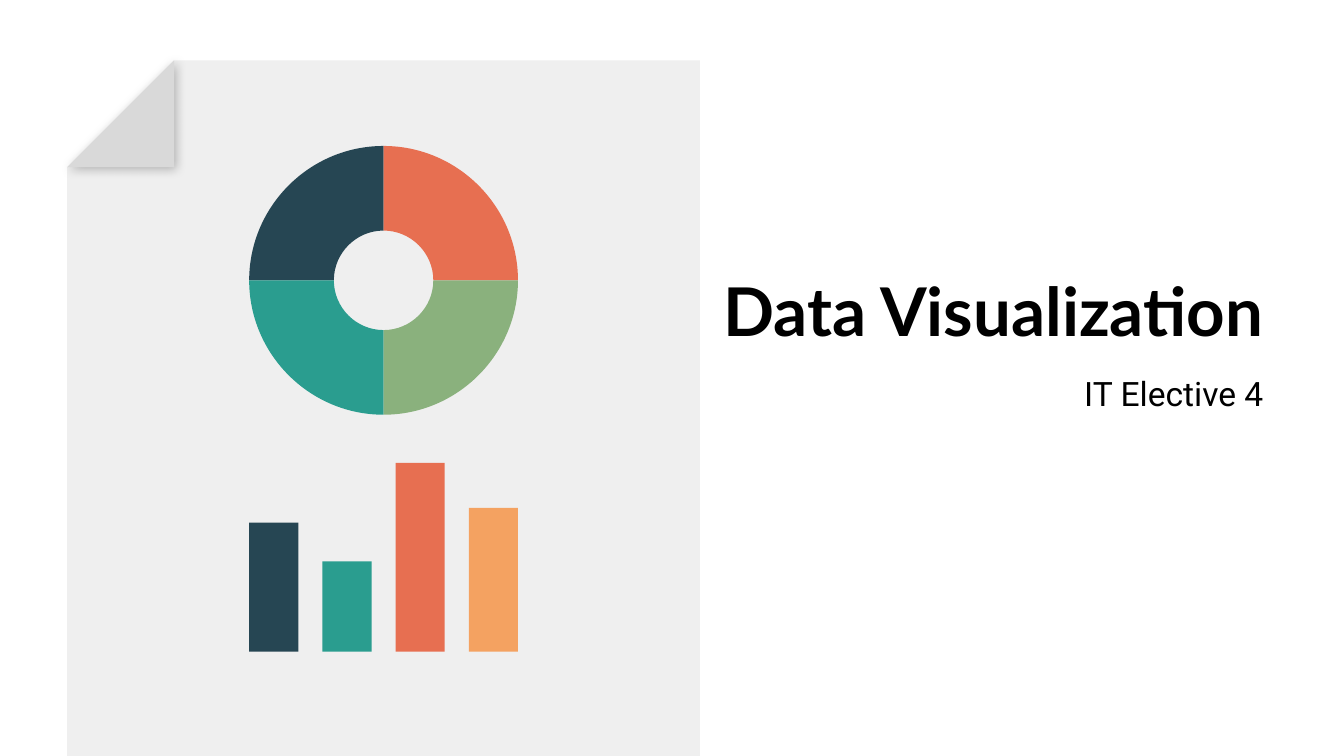
from lxml import etree
from pptx import Presentation
from pptx.dml.color import RGBColor
from pptx.enum.shapes import MSO_SHAPE
from pptx.enum.text import MSO_ANCHOR, PP_ALIGN
from pptx.oxml.ns import qn
from pptx.util import Cm, Pt

RECTANGLE = MSO_SHAPE.RECTANGLE
TOP, MIDDLE = MSO_ANCHOR.TOP, MSO_ANCHOR.MIDDLE
RIGHT = PP_ALIGN.RIGHT

BLACK = RGBColor(0x00, 0x00, 0x00)
PAPER = RGBColor(0xEF, 0xEF, 0xEF)
FOLD = RGBColor(0xD9, 0xD9, 0xD9)
NAVY = RGBColor(0x26, 0x46, 0x53)
TEAL = RGBColor(0x2A, 0x9D, 0x8F)
GREEN = RGBColor(0x8A, 0xB1, 0x7D)
CORAL = RGBColor(0xE7, 0x6F, 0x51)
ORANGE = RGBColor(0xF4, 0xA2, 0x61)

CIRCLE_HANDLE = 0.55


def set_attributes(target, values):
    for name, value in values.items():
        setattr(target, name, value)


class SlideBuilder:
    MARGINS = {f"margin_{side}": Cm(0.25) for side in ("left", "top", "right", "bottom")}
    SHADOW = {"blurRad": Pt(5.6), "dist": Pt(1.5), "dir": 44 * 60000, "rotWithShape": 0}
    SHADOW_OPACITY = 25

    def __init__(self, slide):
        self.slide = slide

    def paint(self, shape, color):
        shape.fill.solid()
        shape.fill.fore_color.rgb = color
        shape.line.fill.background()
        shape.shadow.inherit = False
        return shape

    def polygon(self, points, color):
        start, *others = [(Cm(x), Cm(y)) for x, y in points]
        builder = self.slide.shapes.build_freeform(*start)
        builder.add_line_segments(others, close=True)
        return self.paint(builder.convert_to_shape(), color)

    def bend(self, shape, segment, start, end, center):
        handles = [
            [p + CIRCLE_HANDLE * (q - c) for p, q, c in zip(near, far, center)]
            for near, far in ((start, end), (end, start))
        ]
        curve = etree.Element(qn("a:cubicBezTo"))
        for x, y in (*handles, end):
            local = {"x": str(Cm(x) - shape.left), "y": str(Cm(y) - shape.top)}
            etree.SubElement(curve, qn("a:pt"), local)
        segment.getparent().replace(segment, curve)

    def ring_quarter(self, center, outer, inner, direction, color):
        x, y = center
        across, down = direction
        corners = [
            (x + outer * across, y),
            (x, y + outer * down),
            (x, y + inner * down),
            (x + inner * across, y),
        ]
        shape = self.polygon(corners, color)
        outside, _, inside = list(shape._element.iter(qn("a:lnTo")))
        self.bend(shape, outside, corners[0], corners[1], center)
        self.bend(shape, inside, corners[2], corners[3], center)

    def bar(self, left, bottom, width, height, color):
        shape = self.slide.shapes.add_shape(
            RECTANGLE, Cm(left), Cm(bottom - height), Cm(width), Cm(height)
        )
        self.paint(shape, color)

    def cast_shadow(self, shape):
        effects = shape._element.spPr.find(qn("a:effectLst"))
        attributes = {name: str(value) for name, value in self.SHADOW.items()}
        shadow = etree.SubElement(effects, qn("a:outerShdw"), attributes)
        color = etree.SubElement(shadow, qn("a:srgbClr"), val=str(BLACK))
        etree.SubElement(color, qn("a:alpha"), val=str(self.SHADOW_OPACITY * 1000))

    def text(self, words, box, anchor, font_format, paragraph_format):
        frame = self.slide.shapes.add_textbox(*map(Cm, box)).text_frame
        set_attributes(frame, {"word_wrap": True, "vertical_anchor": anchor, **self.MARGINS})
        paragraph = frame.paragraphs[0]
        set_attributes(paragraph, {"alignment": RIGHT, **paragraph_format})
        run = paragraph.add_run()
        run.text = words
        set_attributes(run.font, font_format)
        run.font.color.rgb = BLACK


def main():
    presentation = Presentation()
    presentation.slide_width = Cm(25.4)
    presentation.slide_height = Cm(14.29)
    builder = SlideBuilder(presentation.slides.add_slide(presentation.slide_layouts[6]))

    left, top, right, bottom, fold = 1.27, 1.14, 13.23, 16.15, 2.02
    fold_start, fold_end = (left, top + fold), (left + fold, top)
    builder.polygon(
        [fold_start, (left, bottom), (right, bottom), (right, top), fold_end], PAPER
    )

    builder.text(
        "IT Elective 4", (16.66, 6.68, 7.47, 2.92), TOP,
        {"name": "Roboto", "size": Pt(18)},
        {"line_spacing": 1.15, "space_after": Pt(16)},
    )
    builder.text(
        "Data Visualization", (11.43, 4.08, 12.7, 3.56), MIDDLE,
        {"name": "Lato", "size": Pt(36), "bold": True}, {},
    )

    corner = builder.polygon([fold_start, fold_end, (left + fold, top + fold)], FOLD)
    builder.cast_shadow(corner)

    center, outer, inner = (7.25, 5.3), 2.54, 0.94
    quarters = (((-1, -1), NAVY), ((1, -1), CORAL), ((-1, 1), TEAL), ((1, 1), GREEN))
    for direction, color in quarters:
        builder.ring_quarter(center, outer, inner, direction, color)

    bars = ((2.44, NAVY), (1.71, TEAL), (3.57, CORAL), (2.72, ORANGE))
    bar_width, baseline = 0.93, 12.32
    bar_pitch = (2 * outer - bar_width) / (len(bars) - 1)
    for index, (height, color) in enumerate(bars):
        bar_left = center[0] - outer + index * bar_pitch
        builder.bar(bar_left, baseline, bar_width, height, color)

    presentation.save("out.pptx")


if __name__ == "__main__":
    main()
